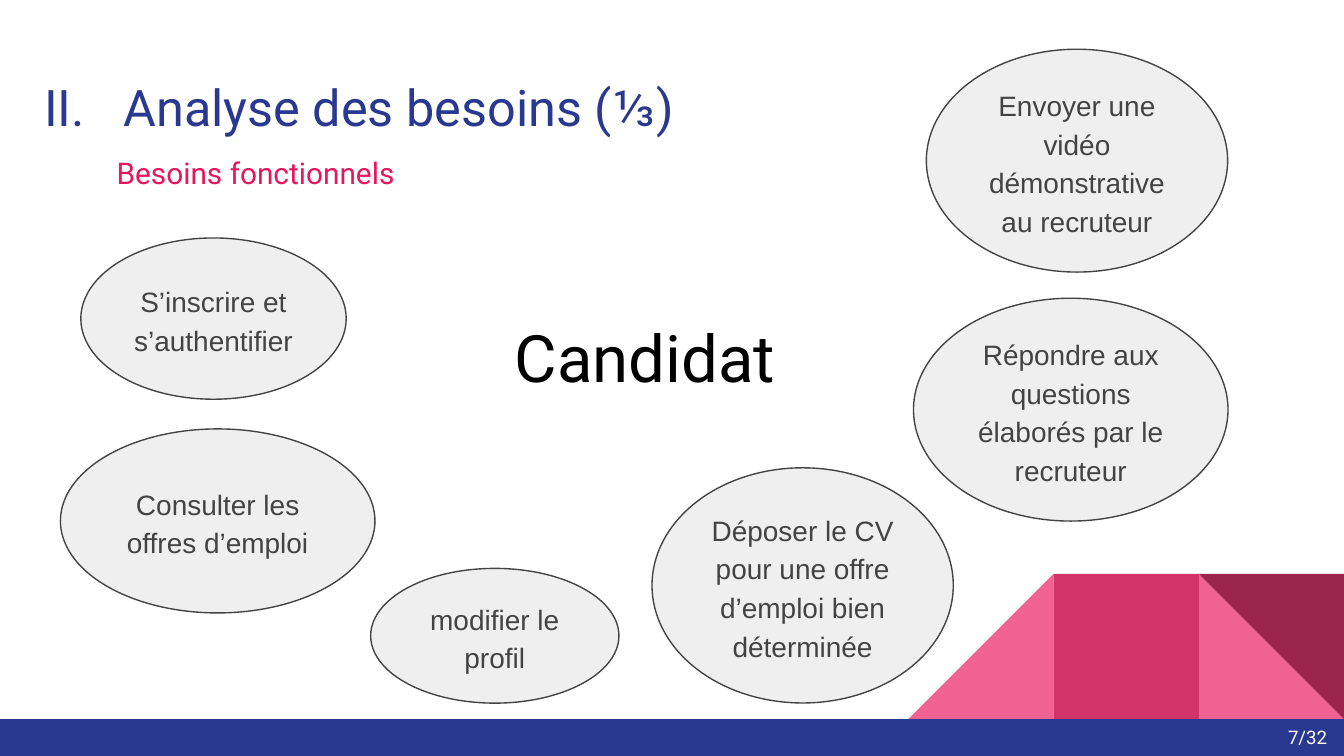
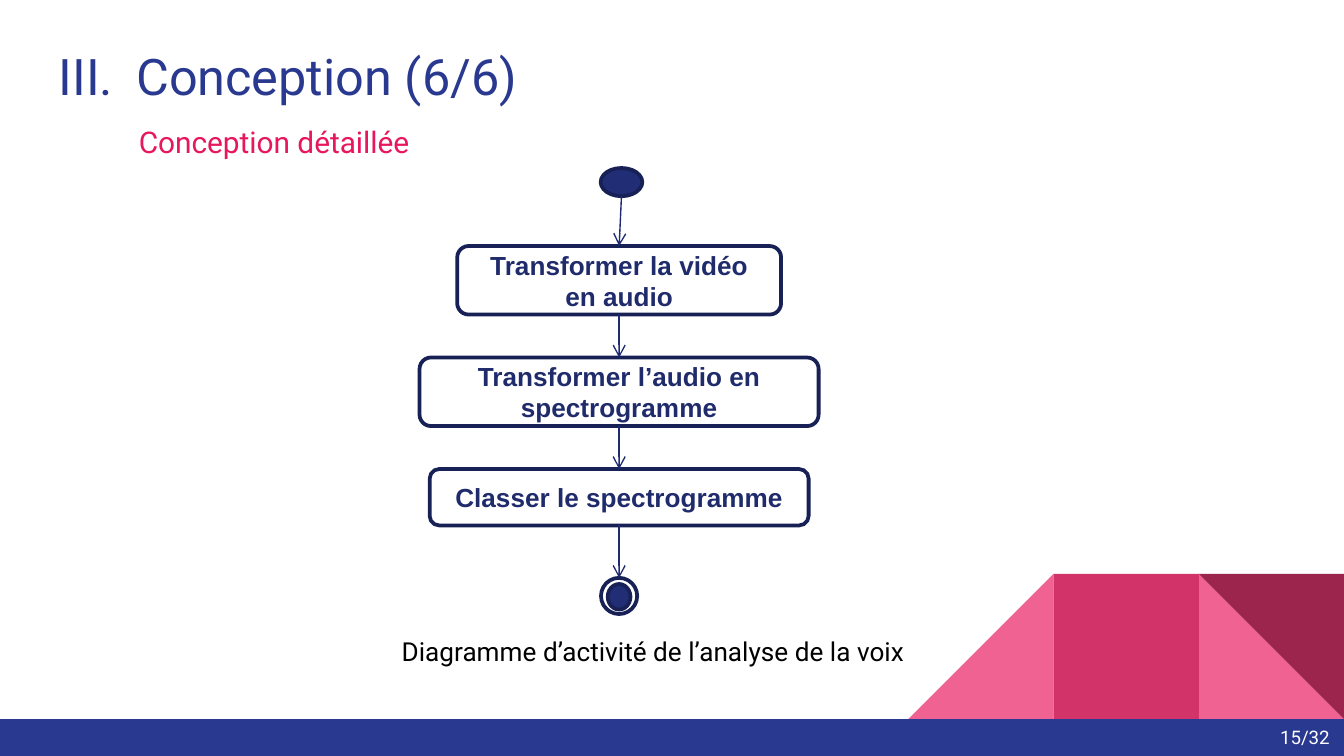
from dataclasses import dataclass

from lxml.etree import SubElement
from pptx import Presentation
from pptx.dml.color import RGBColor as RGB
from pptx.enum.shapes import MSO_CONNECTOR as CONN, MSO_SHAPE as SHAPE
from pptx.enum.text import MSO_ANCHOR as ANCHOR, PP_ALIGN as ALIGN
from pptx.oxml.ns import qn
from pptx.util import Pt


@dataclass(frozen=True)
class Theme:
    navy: str = "2A3990"
    accent: str = "E7165D"
    pink: str = "F06292"
    rose: str = "D23369"
    wine: str = "9C254D"
    white: str = "FFFFFF"
    black: str = "000000"
    bubble: str = "EFEFEF"
    grey: str = "434343"
    node: str = "212D74"
    outline: str = "182156"
    node_text: str = "202B6C"
    arrow: str = "1E2B73"
    heading: str = "Roboto"
    body: str = "Arial"
    title_size: int = 27
    subtitle_size: int = 16
    actor_size: int = 35
    bubble_size: int = 15
    step_size: int = 14
    page_size: int = 10


T = Theme()
W, H = 720, 405
BAND_TOP = 385.2
TILE = 77.8
INSET = 7.2


class Deck:
    def __init__(self):
        self.prs = Presentation()
        self.prs.slide_width, self.prs.slide_height = Pt(W), Pt(H)

    def new_slide(self, page, page_left):
        self.s = self.prs.slides.add_slide(self.prs.slide_layouts[6])
        top = BAND_TOP - TILE
        right, middle, left = (W - TILE * n for n in (1, 2, 3))
        self.shape(SHAPE.RIGHT_TRIANGLE, (right, top, TILE, TILE), T.pink)
        sp = self.shape(SHAPE.RIGHT_TRIANGLE, (left, top, TILE, TILE), T.pink)
        sp._element.spPr.find(qn("a:xfrm")).set("flipH", "1")
        self.shape(SHAPE.RECTANGLE, (middle, top, TILE, TILE), T.rose)
        sp = self.shape(SHAPE.RIGHT_TRIANGLE, (right, top, TILE, TILE), T.wine)
        sp.rotation = 180
        self.shape(SHAPE.RECTANGLE, (0, BAND_TOP, W, H - BAND_TOP), T.navy)
        tf = self.text((page_left, 379.4, 43.2, 31), page, T.page_size,
                       T.white, ALIGN.RIGHT)
        tf.vertical_anchor = ANCHOR.MIDDLE

    def shape(self, kind, box, fill, line=None, width=0.75):
        sp = self.s.shapes.add_shape(kind, *map(Pt, box))
        sp.shadow.inherit = False
        sp.fill.solid()
        sp.fill.fore_color.rgb = RGB.from_string(fill)
        if line:
            sp.line.color.rgb = RGB.from_string(line)
            sp.line.width = Pt(width)
        else:
            sp.line.fill.background()
        return sp

    def frame(self, tf, inset_y=INSET):
        tf.word_wrap = True
        tf.margin_left = tf.margin_right = Pt(INSET)
        tf.margin_top = tf.margin_bottom = Pt(inset_y)
        return tf

    def style(self, p, text, size, color, font=T.heading, align=ALIGN.LEFT, bold=False):
        p.text = text
        p.alignment = align
        for r in p.runs:
            r.font.size = Pt(size)
            r.font.name = font
            r.font.bold = bold
            r.font.color.rgb = RGB.from_string(color)

    def text(self, box, text, size, color, align=ALIGN.LEFT):
        tf = self.frame(self.s.shapes.add_textbox(*map(Pt, box)).text_frame)
        self.style(tf.paragraphs[0], text, size, color, align=align)
        return tf

    def title(self, box, number, text, subtitle, tab, indent):
        tf = self.text(box, f"{number}\t{text}", T.title_size, T.navy)
        p = tf.paragraphs[0]
        p.line_spacing = 1.5
        tabs = SubElement(p._p.get_or_add_pPr(), qn("a:tabLst"))
        SubElement(tabs, qn("a:tab"), pos=str(Pt(tab)), algn="l")
        p = tf.add_paragraph()
        self.style(p, subtitle, T.subtitle_size, T.accent)
        p.line_spacing = 1.5
        p._p.get_or_add_pPr().set("marL", str(Pt(indent)))

    def bubble(self, box, text):
        sp = self.shape(SHAPE.OVAL, box, T.bubble, T.grey)
        tf = self.frame(sp.text_frame)
        tf.vertical_anchor = ANCHOR.MIDDLE
        p = tf.paragraphs[0]
        self.style(p, text, T.bubble_size, T.grey, T.body, ALIGN.CENTER)
        p.line_spacing = 1.15
        p.space_after = Pt(16)

    def node(self, box, fill=T.node):
        return self.shape(SHAPE.OVAL, box, fill, T.outline, 2)

    def step(self, box, text):
        sp = self.shape(SHAPE.ROUNDED_RECTANGLE, box, T.white, T.outline, 2)
        tf = self.frame(sp.text_frame, INSET / 2)
        tf.vertical_anchor = ANCHOR.MIDDLE
        self.style(tf.paragraphs[0], text, T.step_size, T.node_text, T.body,
                   ALIGN.CENTER, True)
        return sp

    def arrow(self, a, b):
        c = self.s.shapes.add_connector(
            CONN.STRAIGHT, a.left + a.width // 2, a.top + a.height,
            b.left + b.width // 2, b.top)
        c.line.color.rgb = RGB.from_string(T.arrow)
        c.line.width = Pt(0.75)
        ln = c._element.spPr.find(qn("a:ln"))
        SubElement(ln, qn("a:tailEnd"), type="arrow")
        SubElement(c._element.spPr, qn("a:effectLst"))


deck = Deck()

deck.new_slide("7/32", 674.8)
deck.title((16.6, 17.3, 671, 96.5), "II.", "Analyse des besoins (⅓)",
           "Besoins fonctionnels", 42.4, 38.8)
for box, text in (
    ((198.6, 304.5, 133, 72.2), "modifier le profil"),
    ((43.3, 127.5, 142.2, 86.4), "S’inscrire et s’authentifier"),
    ((349.3, 250.6, 161.4, 126), "Déposer le CV pour une offre d’emploi bien déterminée"),
    ((489.4, 159.8, 168.5, 119.4), "Répondre aux questions élaborés par le recruteur"),
    ((32.4, 229.8, 168.5, 98.6), "Consulter les offres d’emploi"),
    ((496.3, 26.4, 161.4, 119.4), "Envoyer une vidéo démonstrative au recruteur"),
):
    deck.bubble(box, text)
deck.text((265, 162.7, 161.3, 56.9), "Candidat", T.actor_size, T.black, ALIGN.CENTER)

deck.new_slide("15/32", 676.2)
deck.title((24.5, 0.7, 671, 64.8), "III.", "Conception (6/6)",
           "Conception détaillée", 41.4, 42.8)
deck.text((208.1, 333.4, 578, 31.7), "Diagramme d’activité de l’analyse de la voix",
          T.step_size, T.black)
AXIS, FIRST_TOP, PITCH = 331.7, 131.8, 59.75
flow = [deck.node((321.8, 90, 22.3, 15.1))]
for i, (w, h, text) in enumerate((
    (173.5, 36.7, "Transformer la vidéo en audio"),
    (213.8, 36.7, "Transformer l’audio en spectrogramme"),
    (203, 30.2, "Classer le spectrogramme"),
)):
    flow.append(deck.step((AXIS - w / 2, FIRST_TOP + i * PITCH, w, h), text))
flow.append(deck.node((AXIS - 9.7, 309.6, 19.4, 19.4), T.white))
deck.node((AXIS - 6.1, 312.9, 12.2, 13.7))
for a, b in zip(flow, flow[1:]):
    deck.arrow(a, b)

deck.prs.save("out.pptx")
